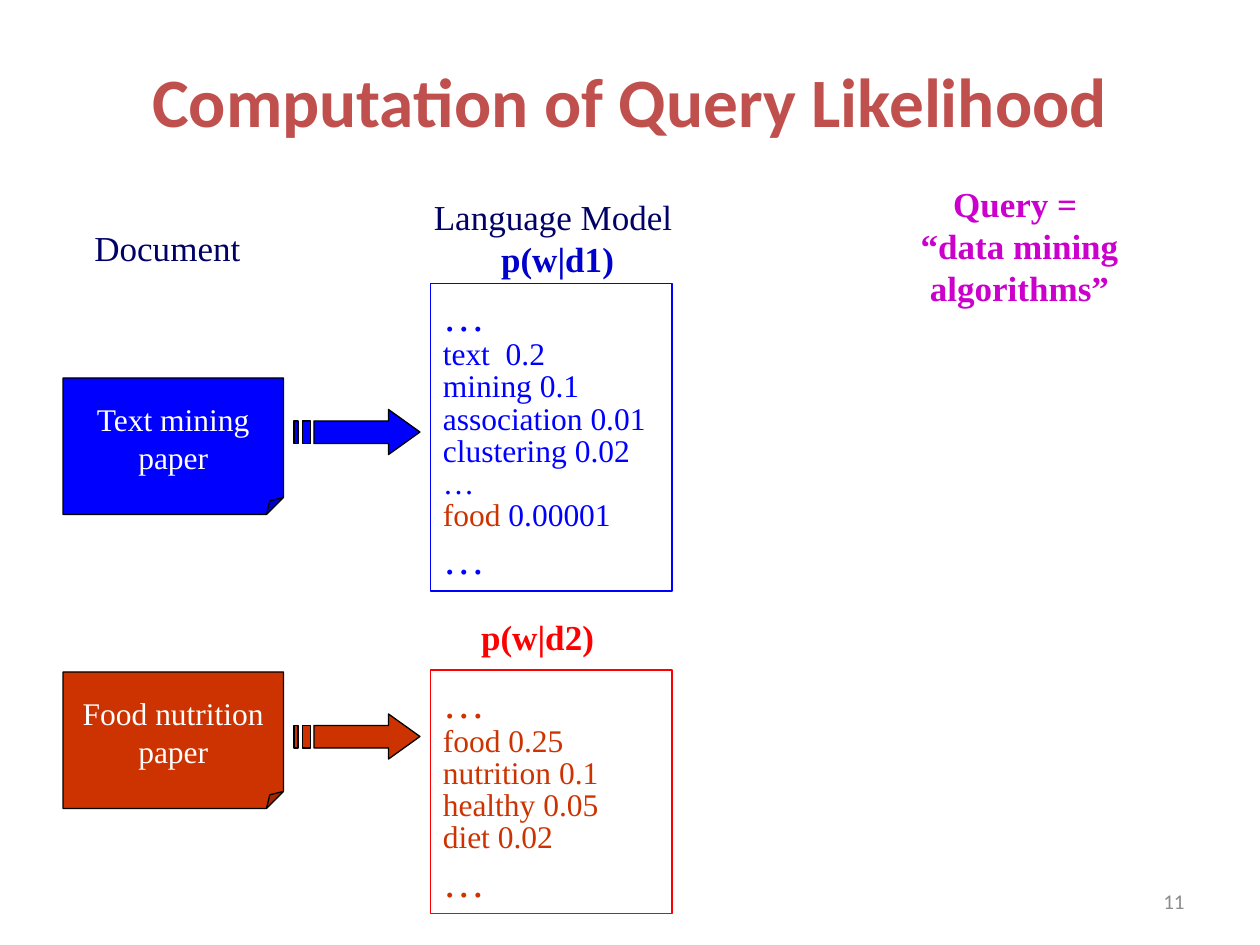
from dataclasses import dataclass
from typing import NamedTuple

from lxml.etree import SubElement
from pptx import Presentation
from pptx.dml.color import RGBColor
from pptx.enum.shapes import MSO_SHAPE as Preset
from pptx.enum.text import MSO_ANCHOR as Anchor, PP_ALIGN as Align
from pptx.oxml.ns import qn
from pptx.util import Inches, Pt

COLUMNS = 120  # square grid cells across the slide


@dataclass(frozen=True)
class Theme:
    body_font: str = "Times New Roman"
    plain_font: str = "Calibri"
    title: str = "C0504D"
    number: str = "8C8C8C"
    heading: str = "000066"
    query: str = "CC00CC"
    blue: str = "0000FF"
    dark_blue: str = "0000CC"
    rust: str = "CC3300"
    red: str = "FF0000"
    black: str = "000000"
    white: str = "FFFFFF"
    title_size: float = 39.6
    dots_size: float = 24
    label_size: float = 20
    body_size: float = 18
    number_size: float = 12
    line_width: float = 0.75


class Area(NamedTuple):
    """A rectangle in grid cells."""
    left: float
    top: float
    width: float
    height: float


class Span(NamedTuple):
    text: str
    color: str
    size: float
    bold: bool = False
    font: str = Theme.body_font


class Label(NamedTuple):
    area: Area
    lines: list[Span]


class Model(NamedTuple):
    """A document, the arrow from it, and its word distribution."""
    color: str
    border: str
    document: list[str]
    document_top: float
    arrow_top: float
    words_area: Area
    words: list[list[tuple[str, str]]]


THEME = Theme()

deck = Presentation()
deck.slide_width, deck.slide_height = Inches(10), Inches(7.5)
page = deck.slides.add_slide(deck.slide_layouts[5])


def cells(count: float) -> int:
    return round(count * deck.slide_width / COLUMNS)


def place(box, area: Area) -> None:
    box.left, box.top, box.width, box.height = map(cells, area)


def write(box, lines: list[list[Span]], align=Align.CENTER, anchor=Anchor.TOP,
          wrap: bool = False) -> None:
    """Put one paragraph in the box for each line of spans."""
    frame = box.text_frame
    frame.text = "\n".join("" for _ in lines)
    frame.word_wrap, frame.vertical_anchor = wrap, anchor
    for para, line in zip(frame.paragraphs, lines):
        para.alignment = align
        for span in line:
            run = para.add_run()
            run.text = span.text
            run.font.name, run.font.size = span.font, Pt(span.size)
            run.font.bold = span.bold
            run.font.color.rgb = RGBColor.from_string(span.color)


def paint(shape, line: str, fill: str | None = None) -> None:
    shape.shadow.inherit = False
    shape.line.color.rgb = RGBColor.from_string(line)
    shape.line.width = Pt(THEME.line_width)
    if fill:
        shape.fill.solid()
        shape.fill.fore_color.rgb = RGBColor.from_string(fill)
    else:
        shape.fill.background()


def set_fold(note, share: float) -> None:
    """Set the corner size, which python-pptx does not list as an adjustment."""
    values = next(note.element.iter(qn("a:avLst")))
    for guide in list(values):
        values.remove(guide)
    SubElement(values, qn("a:gd"), name="adj", fmla=f"val {round(share * 100000)}")


def draw_label(label: Label) -> None:
    box = page.shapes.add_textbox(*map(cells, label.area))
    write(box, [[span] for span in label.lines])


def draw_arrow(left: float, top: float, color: str) -> None:
    """Draw a right arrow with two stripes at its tail."""
    upper, lower, middle, bottom = 1.1, 3.25, 2.15, 4.3
    head = [(9, 0), (9, upper), (1.9, upper), (1.9, lower), (9, lower),
            (9, bottom), (12, middle)]
    stripes = [[(start, upper), (start, lower), (end, lower), (end, upper)]
               for start, end in ((0.8, 1.55), (0, 0.4))]
    outlines = [[(cells(left + x), cells(top + y)) for x, y in outline]
                for outline in (head, *stripes)]
    builder = page.shapes.build_freeform(*outlines[0][0])
    for index, outline in enumerate(outlines):
        if index:
            builder.move_to(*outline[0])
        builder.add_line_segments(outline[1:], close=True)
    paint(builder.convert_to_shape(), THEME.black, color)


def draw_model(model: Model) -> None:
    note = page.shapes.add_shape(
        Preset.FOLDED_CORNER, *map(cells, Area(6, model.document_top, 21, 13)))
    set_fold(note, 0.125)
    paint(note, THEME.black, model.color)
    write(note, [[Span(text, THEME.white, THEME.body_size)]
                 for text in model.document], anchor=Anchor.MIDDLE)

    draw_arrow(28, model.arrow_top, model.color)

    box = page.shapes.add_shape(Preset.RECTANGLE, *map(cells, model.words_area))
    paint(box, model.border)
    dots = [Span("…", model.color, THEME.dots_size)]
    words = [[Span(text, color, THEME.body_size) for text, color in line]
             for line in model.words]
    write(box, [dots, *words, dots], Align.LEFT, wrap=True)
    for para in box.text_frame.paragraphs[1:-1]:
        para.line_spacing = 0.85


def rows(color: str, *texts: str) -> list[list[tuple[str, str]]]:
    return [[(text, color)] for text in texts]


title = page.shapes.title
place(title, Area(9, 2, 102, 15))
write(title, [[Span("Computation of Query Likelihood", THEME.title,
                    THEME.title_size, True, THEME.plain_font)]],
      anchor=Anchor.MIDDLE, wrap=True)

number = page.shapes.add_textbox(*map(cells, Area(86, 83.4, 28, 4.8)))
write(number, [[Span("11", THEME.number, THEME.number_size,
                     font=THEME.plain_font)]], Align.RIGHT, Anchor.MIDDLE, True)

size = THEME.label_size
LABELS = [
    Label(Area(7.8, 21, 16.3, 5.2), [Span("Document", THEME.heading, size)]),
    Label(Area(77.6, 16.8, 39, 13),
          [Span(text, THEME.query, size, True)
           for text in ("Query = ", "“data mining", "algorithms”")]),
    Label(Area(40, 18, 26.2, 9.2),
          [Span("Language Model ", THEME.heading, size),
           Span("p(w|d1)", THEME.dark_blue, size, True)]),
    Label(Area(44.6, 58, 13.2, 5.3), [Span("p(w|d2)", THEME.red, size, True)]),
]
MODELS = [
    Model(THEME.blue, THEME.blue, ["Text mining", "paper"], 36, 39,
          Area(41, 27, 23, 29.3),
          rows(THEME.blue, "text  0.2", "mining 0.1", "association 0.01",
               "clustering 0.02", "…")
          + [[("food", THEME.rust), (" 0.00001", THEME.blue)]]),
    Model(THEME.rust, THEME.red, ["Food nutrition", "paper"], 64, 68,
          Area(41, 63.8, 23, 23.2),
          rows(THEME.rust, "food 0.25", "nutrition 0.1", "healthy 0.05",
               "diet 0.02")),
]
for label in LABELS:
    draw_label(label)
for model in MODELS:
    draw_model(model)

deck.save("out.pptx")
